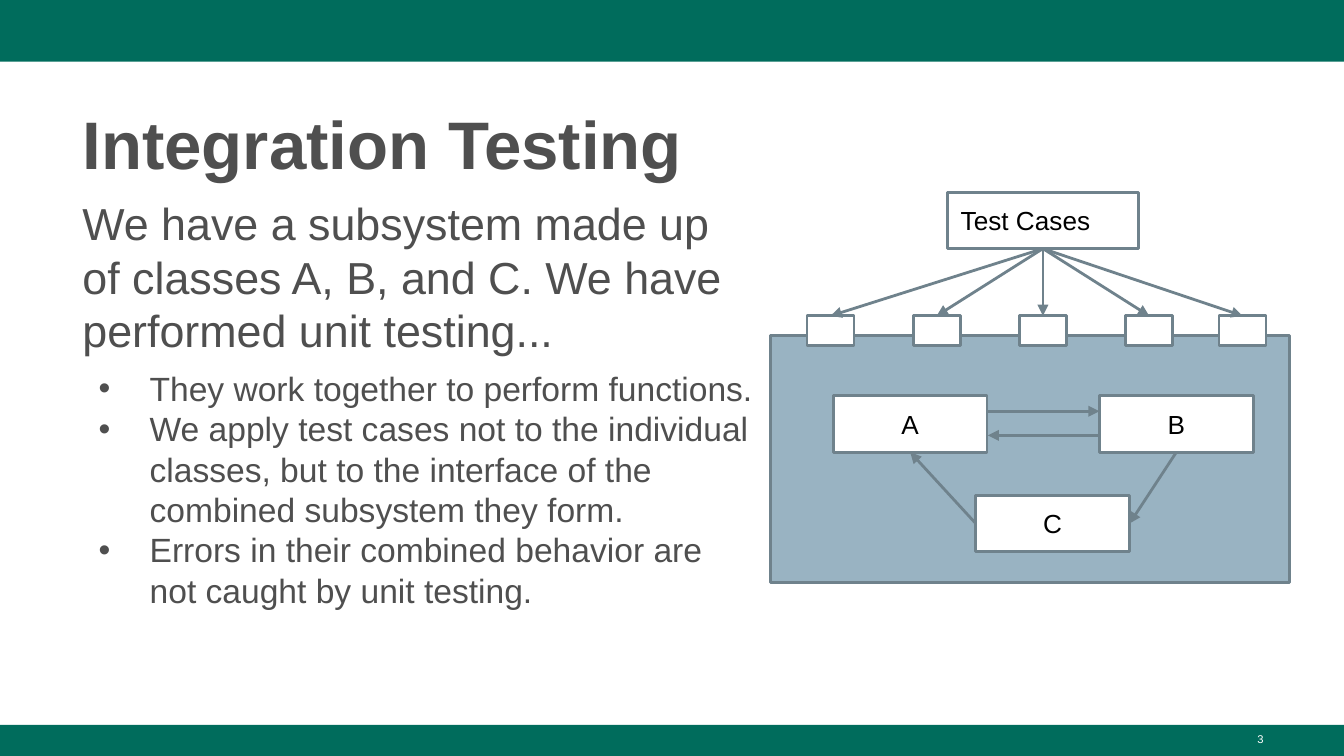
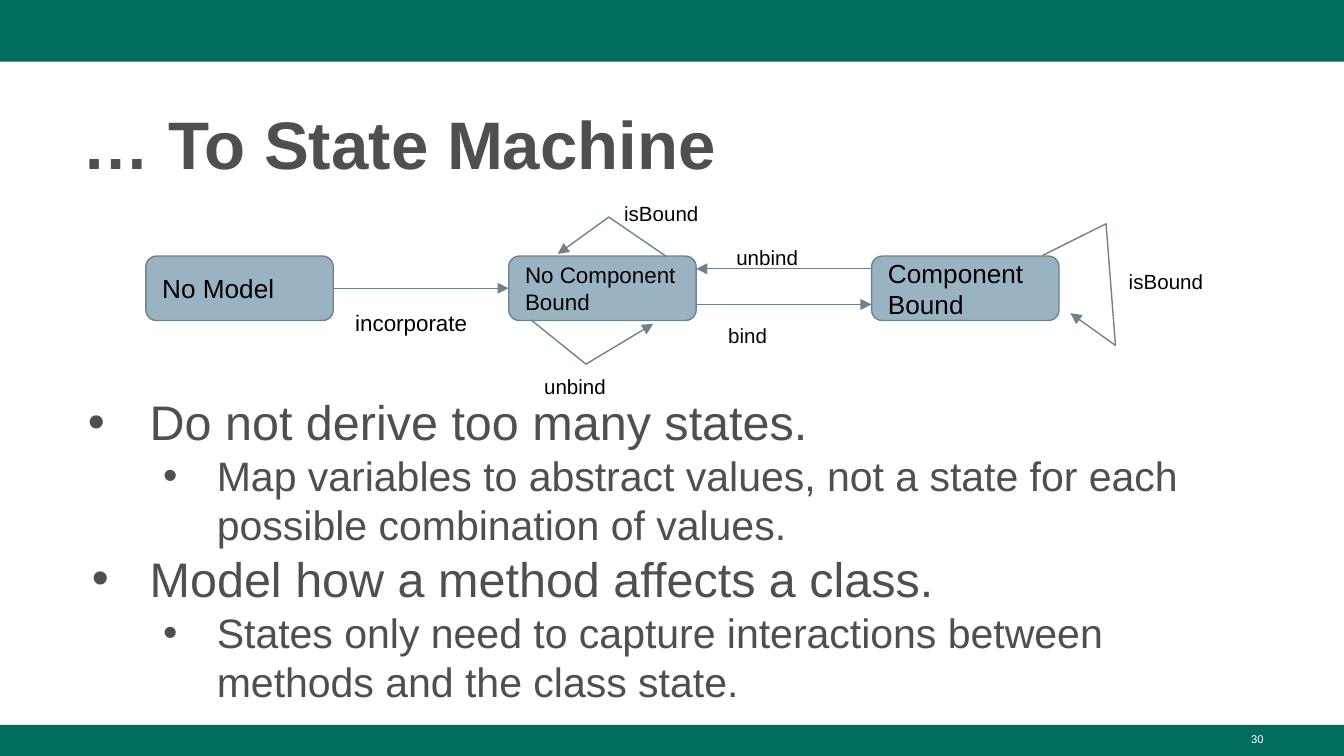
from dataclasses import dataclass
from typing import Any, Optional

from lxml import etree
from pptx import Presentation
from pptx import util as u
from pptx.dml.color import RGBColor
from pptx.enum import shapes, text
from pptx.oxml import ns

PX = 4572
WIDTH, HEIGHT = 2000, 1125
FONT = "Arial"
GREEN = RGBColor(0x00, 0x6C, 0x5C)
GRAY = RGBColor(0x4F, 0x4F, 0x4F)
BLUE = RGBColor(0x99, 0xB3, 0xC2)
SLATE = RGBColor(0x6F, 0x82, 0x8C)
WHITE = RGBColor(0xFF, 0xFF, 0xFF)
BLACK = RGBColor(0x00, 0x00, 0x00)
LEFT, CENTER, RIGHT = text.PP_ALIGN.LEFT, text.PP_ALIGN.CENTER, text.PP_ALIGN.RIGHT
TOP, MIDDLE, BOTTOM = (text.MSO_ANCHOR.TOP, text.MSO_ANCHOR.MIDDLE,
                       text.MSO_ANCHOR.BOTTOM)
RECT = shapes.MSO_SHAPE.RECTANGLE
ROUND = shapes.MSO_SHAPE.ROUNDED_RECTANGLE
THICK, THIN = 1.5, 0.75


@dataclass(frozen=True)
class Area:
    left: int
    top: int
    width: int
    height: int

    def emu(self) -> tuple[int, ...]:
        return tuple(v * PX for v in (self.left, self.top, self.width, self.height))


@dataclass(frozen=True)
class Box:
    area: Area
    fill: RGBColor
    label: str = ""
    size: int = 14
    align: Any = LEFT
    border: Optional[float] = THICK
    kind: Any = RECT


@dataclass(frozen=True)
class Label:
    left: int
    top: int
    words: str
    size: int = 11
    width: int = 182


@dataclass(frozen=True)
class Para:
    words: str
    size: int
    margin: int = 0
    hang: int = 0
    before: int = 0


TITLE_AREA = Area(103, 136, 1798, 146)
BANDS = (Box(Area(0, 0, WIDTH, 92), GREEN, border=None),
         Box(Area(0, 1079, WIDTH, 46), GREEN, border=None))


def assign(target: Any, values: dict[str, Any]) -> None:
    for name, value in values.items():
        setattr(target, name, value)


def format_frame(tf: Any, anchor: Any, side: int = 20, edge: int = 20) -> None:
    assign(tf, {"word_wrap": True, "auto_size": text.MSO_AUTO_SIZE.NONE,
                "vertical_anchor": anchor,
                "margin_left": side * PX, "margin_right": side * PX,
                "margin_top": edge * PX, "margin_bottom": edge * PX})


def write(p: Any, words: str, size: int, color: RGBColor,
          align: Any = LEFT, bold: bool = False) -> None:
    p.alignment = align
    r = p.add_run()
    r.text = words
    assign(r.font, {"name": FONT, "size": u.Pt(size), "bold": bold})
    r.font.color.rgb = color


def add_bullet(p: Any, item: Para) -> None:
    props = p._p.get_or_add_pPr()
    props.set("marL", str(item.margin * PX))
    props.set("indent", str(-item.hang * PX))
    color = etree.SubElement(props, ns.qn("a:buClr"))
    etree.SubElement(color, ns.qn("a:srgbClr")).set("val", str(GRAY))
    etree.SubElement(props, ns.qn("a:buFont")).set("typeface", FONT)
    etree.SubElement(props, ns.qn("a:buChar")).set("char", "•")


def add_box(s: Any, box: Box) -> Any:
    sp = s.shapes.add_shape(box.kind, *box.area.emu())
    sp.shadow.inherit = False
    sp.fill.solid()
    sp.fill.fore_color.rgb = box.fill
    if box.border is None:
        sp.line.fill.background()
    else:
        sp.line.color.rgb = SLATE
        sp.line.width = u.Pt(box.border)
    if box.label:
        format_frame(sp.text_frame, MIDDLE)
        write(sp.text_frame.paragraphs[0], box.label, box.size, BLACK, box.align)
    return sp


def add_label(s: Any, label: Label) -> None:
    sp = s.shapes.add_textbox(*Area(label.left, label.top, label.width, 34).emu())
    format_frame(sp.text_frame, TOP)
    write(sp.text_frame.paragraphs[0], label.words, label.size, BLACK)


def add_body(s: Any, area: Area, items: list[Para]) -> None:
    tf = s.shapes.add_textbox(*area.emu()).text_frame
    format_frame(tf, TOP, edge=10)
    for i, item in enumerate(items):
        p = tf.add_paragraph() if i else tf.paragraphs[0]
        assign(p, {"line_spacing": 1.0, "space_before": u.Pt(item.before)})
        if item.hang:
            add_bullet(p, item)
        write(p, item.words, item.size, GRAY)


def style_arrow(sp: Any, weight: float) -> None:
    sp.line.color.rgb = SLATE
    sp.line.width = u.Pt(weight)
    line = sp.line._get_or_add_ln()
    etree.SubElement(line, ns.qn("a:tailEnd")).set("type", "triangle")


def add_arrow(s: Any, weight: float, start: tuple[int, int] = (0, 0),
              end: tuple[int, int] = (0, 0)) -> Any:
    sp = s.shapes.add_connector(shapes.MSO_CONNECTOR.STRAIGHT,
                                *(v * PX for v in start + end))
    style_arrow(sp, weight)
    etree.SubElement(sp._element.spPr, ns.qn("a:effectLst"))
    return sp


def join(s: Any, weight: float, source: Any, source_side: int,
         target: Any, target_side: int) -> None:
    sp = add_arrow(s, weight)
    sp.begin_connect(source, source_side)
    sp.end_connect(target, target_side)


def add_loop(s: Any, points: list[tuple[int, int]]) -> None:
    builder = s.shapes.build_freeform(*points[0], scale=PX)
    builder.add_line_segments(points[1:], close=False)
    sp = builder.convert_to_shape()
    sp.shadow.inherit = False
    sp.fill.background()
    style_arrow(sp, THIN)


def add_slide(prs: Any, title: str, number: int) -> Any:
    s = prs.slides.add_slide(prs.slide_layouts[5])
    for band in BANDS:
        add_box(s, band)
    sp = s.shapes.title
    assign(sp, dict(zip(("left", "top", "width", "height"), TITLE_AREA.emu())))
    format_frame(sp.text_frame, BOTTOM, edge=10)
    p = sp.text_frame.paragraphs[0]
    p.line_spacing = 1.08
    write(p, title, 36, GRAY, bold=True)
    tf = s.shapes.add_textbox(*Area(1434, 1080, 466, 46).emu()).text_frame
    format_frame(tf, TOP, edge=10)
    write(tf.paragraphs[0], str(number), 6, WHITE, RIGHT)
    return s


def build_integration(prs: Any) -> None:
    s = add_slide(prs, "Integration Testing", 3)
    bullet = {"size": 18, "margin": 100, "hang": 76}
    add_body(s, Area(103, 281, 1044, 762), [
        Para("We have a subsystem made up of classes A, B, and C. "
             "We have performed unit testing...", 24),
        Para("They work together to perform functions.", before=6, **bullet),
        Para("We apply test cases not to the individual classes, but to the "
             "interface of the combined subsystem they form.", **bullet),
        Para("Errors in their combined behavior are not caught by unit testing.",
             **bullet),
    ])
    add_box(s, Box(Area(1147, 499, 772, 368), BLUE))
    a, b, c = (add_box(s, Box(Area(x, y, 229, 84), WHITE, name, align=CENTER))
               for name, x, y in (("A", 1240, 589), ("B", 1636, 589),
                                  ("C", 1452, 737)))
    add_arrow(s, THICK, (1470, 612), (1636, 612))
    add_arrow(s, THICK, (1636, 648), (1470, 648))
    join(s, THICK, b, 2, c, 3)
    join(s, THICK, c, 1, a, 2)
    cases = add_box(s, Box(Area(1410, 286, 284, 84), WHITE, "Test Cases"))
    for x in [*range(1201, 1676, 158), 1814]:
        port = add_box(s, Box(Area(x, 470, 70, 44), WHITE))
        join(s, THICK, cases, 2, port, 0)


def build_state_machine(prs: Any) -> None:
    s = add_slide(prs, "… To State Machine", 30)
    add_body(s, Area(103, 574, 1798, 468), [
        Para("Do not derive too many states.", 26, 100, 92),
        Para("Map variables to abstract values, not a state for each possible "
             "combination of values.", 22, 200, 80),
        Para("Model how a method affects a class.", 26, 100, 86),
        Para("States only need to capture interactions between methods and the "
             "class state.", 22, 200, 80),
    ])
    states = (("No Model", 14), ("No Component Bound", 12), ("Component Bound", 14))
    empty, unbound, _ = [
        add_box(s, Box(Area(217 + 540 * i, 381, 279, 96), BLUE, name, size,
                       border=THIN, kind=ROUND))
        for i, (name, size) in enumerate(states)]
    join(s, THIN, empty, 3, unbound, 1)
    add_arrow(s, THIN, (1036, 453), (1297, 453))
    add_arrow(s, THIN, (1297, 400), (1036, 400))
    for points in ([(790, 476), (872, 542), (972, 482)],
                   [(992, 382), (906, 323), (830, 378)],
                   [(1552, 380), (1646, 333), (1660, 514), (1593, 466)]):
        add_loop(s, points)
    for label in (Label(509, 443, "incorporate", 12, 212),
                  Label(1064, 464, "bind"), Label(1076, 348, "unbind"),
                  Label(790, 540, "unbind"), Label(909, 282, "isBound"),
                  Label(1660, 383, "isBound")):
        add_label(s, label)


def main() -> None:
    prs = Presentation()
    assign(prs, {"slide_width": WIDTH * PX, "slide_height": HEIGHT * PX})
    build_integration(prs)
    build_state_machine(prs)
    prs.save("out.pptx")


if __name__ == "__main__":
    main()
